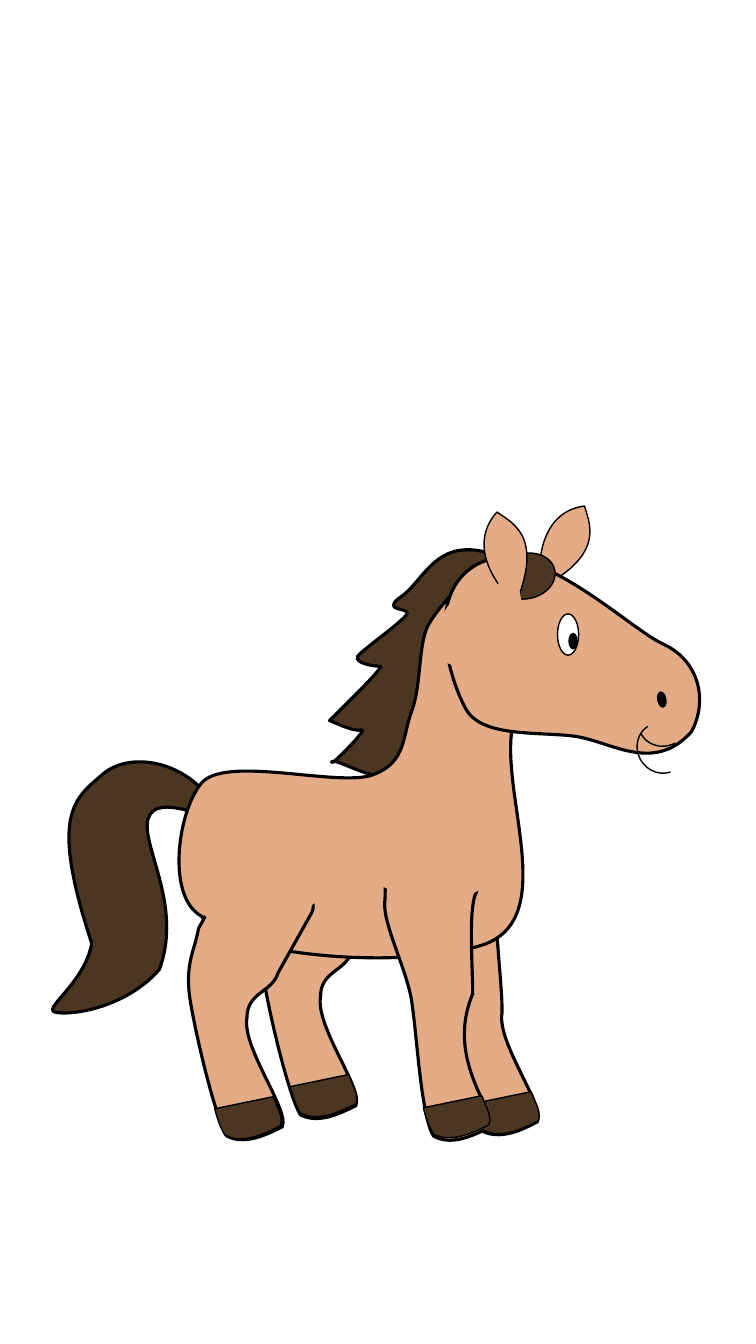
from lxml import etree
from pptx import Presentation
from pptx import util as u
from pptx.dml.color import RGBColor
from pptx.enum import shapes
from pptx.oxml.ns import qn

COLOURS = {"paper": "FFFFFF", "coat": "E3AC87", "mane": "4B3621", "ink": "000000"}
GRID = 0.72  # points per drawing unit
THIN, BOLD = 1, 2.25
KIND = shapes.MSO_SHAPE

# Outlines: a start point, then segments of one point (line) or three (curve)
FAR_EAR = "537,583 | 602,549 584,518 580,502 | 532,508 533,569 537,583"
NEAR_EAR = "512,598 | 540,530 506,518 493,508 | 460,545 500,590 512,598"
TAIL = """54,1004 | 43,1000 84,975 91,936 | 49,808 73,793 102,768
    | 131,743 195,756 219,811 | 209,816 156,785 147,812
    | 139,838 182,898 158,962 | 123,1002 66,1008 54,1004"""
HIND_LEG = """230,862 | 234,855 243,853 251,857 | 303,886 | 310,890 313,899 309,906
    | 276,965 | 270,985 245,984 245,1010 | 240,1040 288,1102 280,1118
    | 262,1127 242,1136 225,1127 | 213,1107 193,1022 188,988
    | 184,954 193,944 197,921"""
FAR_FORELEG = """449,843 | 466,837 489,840 502,847 | 509,865 504,862 494,883
    | 488,903 499,979 498,1005 | 493,1035 541,1097 533,1113
    | 516,1122 496,1131 478,1122 | 466,1102 446,1017 441,983
    | 437,949 434,924 438,901"""
NEAR_FORELEG = """383,846 | 400,840 458,835 471,842 | 478,859 480,869 471,889
    | 465,909 469,960 469,986 | 441,1053 494,1102 485,1119
    | 468,1127 448,1137 430,1127 | 418,1107 414,1032 409,997
    | 405,963 378,915 382,892"""
HOOF = """271,1088 | 275,1098 | 279,1106 280,1113 278,1117
    | 260,1126 240,1135 223,1126 | 220,1121 216,1112 213,1100"""
MANE = """500,554 | 547,589 | 477,695 | 439,768 | 421,767 436,772 394,765
    | 381,783 332,750 329,756 | 327,762 366,722 359,724
    | 351,727 329,715 327,715 | 325,716 384,660 377,661
    | 371,661 351,658 355,651 | 360,644 405,613 404,608
    | 403,603 381,606 395,594 | 423,577 432,525 500,554"""
BODY = """409,704 | 418,679 415,638 425,620 | 435,602 477,552 491,566
    | 506,581 513,647 513,706 | 485,768 563,912 477,938
    | 392,964 219,946 200,909 | 165,890 176,807 199,778
    | 221,748 334,781 369,769 | 404,757 399,729 409,704"""
HEAD = """475,559 | 531,531 623,623 658,639 | 693,655 703,694 686,726
    | 647,769 605,734 567,730 | 530,726 477,731 462,703
    | 446,674 419,588 475,559"""


class Drawing:
    """Holds the style and the current page; all input is in drawing units."""

    def __init__(self, page):
        self.page = page
        self.shapes = page.shapes

    def start_group(self):
        self.shapes = self.page.shapes.add_group_shape().shapes

    def style(self, shape, fill, line, width):
        shape.shadow.inherit = False
        if fill:
            shape.fill.solid()
            shape.fill.fore_color.rgb = RGBColor.from_string(COLOURS[fill])
        else:
            shape.fill.background()
        shape.line.color.rgb = RGBColor.from_string(COLOURS[line])
        shape.line.width = u.Pt(width)
        return shape

    def preset(self, kind, frame, fill, line="ink", turn=0):
        shape = self.shapes.add_shape(kind, *(u.Pt(n * GRID) for n in frame))
        shape.rotation = turn
        return self.style(shape, fill, line, THIN)

    def outline(self, path, fill, width=BOLD, shift=(0, 0)):
        segments = [
            [tuple(int(n) + d for n, d in zip(pair.split(","), shift)) for pair in part.split()]
            for part in path.split("|")
        ]
        anchors = [segment[-1] for segment in segments]
        left, top = (min(axis) for axis in zip(*anchors))
        builder = self.shapes.build_freeform(*anchors[0], scale=u.Pt(GRID))
        builder.add_line_segments(anchors[1:], close=True)
        shape = builder.convert_to_shape()
        # Turn three-point segments into Bézier curves
        steps = list(shape._element.iter(qn("a:lnTo")))
        for step, segment in zip(steps, segments[1:]):
            if len(segment) == 3:
                step.tag = qn("a:cubicBezTo")
                for i, (x, y) in enumerate(segment[:2]):
                    step.insert(i, etree.Element(qn("a:pt"), x=str(x - left), y=str(y - top)))
        return self.style(shape, fill, "ink", width)


def main():
    deck = Presentation()
    deck.slide_width, deck.slide_height = u.Pt(540), u.Pt(960)
    page = deck.slides.add_slide(deck.slide_layouts[6])
    horse = Drawing(page)

    # Ground panel
    horse.preset(KIND.RECTANGLE, (0, 433, 750, 900), "paper", "paper")
    horse.start_group()

    # Far side, mane, body and near legs
    horse.outline(FAR_EAR, "coat", THIN)
    horse.outline(TAIL, "mane")
    horse.outline(HIND_LEG, "coat", shift=(73, -21))
    horse.outline(FAR_FORELEG, "coat")
    horse.outline(MANE, "mane")
    horse.outline(BODY, "coat")
    horse.outline(HIND_LEG, "coat")
    horse.outline(NEAR_FORELEG, "coat")

    # Hooves
    for shift in ((0, 0), (75, -22), (256, -5), (207, -1)):
        horse.outline(HOOF, "mane", THIN, shift)

    # Head and forelock
    horse.outline(HEAD, "coat")
    horse.preset(KIND.OVAL, (493, 549, 58, 45), "mane", turn=347.3)

    # Patches that blend the legs into the body
    horse.preset(KIND.OVAL, (195, 844, 133, 73), "coat", "coat", 345.4)
    horse.preset(KIND.OVAL, (365, 824, 133, 67), "coat", "coat")

    # Near ear and its blending patch
    horse.outline(NEAR_EAR, "coat", THIN)
    horse.preset(KIND.OVAL, (468, 591, 64, 32), "coat", "coat", 98.1)

    # Eye, smile, nostril and pupil
    horse.preset(KIND.OVAL, (543, 619, 41, 21), "paper", turn=90)
    horse.preset(KIND.ARC, (633, 692, 51, 48), None, turn=152.6)
    horse.preset(KIND.OVAL, (649, 690, 15, 8), "ink", turn=79.3)
    horse.preset(KIND.OVAL, (561, 632, 15, 8), "ink", turn=90)

    # Neck patch and corner of the mouth
    horse.preset(KIND.OVAL, (420, 611, 64, 32), "coat", "coat", 98.1)
    dimple = horse.preset(KIND.ARC, (631, 718, 51, 48), None, turn=237)
    dimple.adjustments[0] = 192.94 * 0.6  # degrees to adjustment units

    deck.save("out.pptx")


if __name__ == "__main__":
    main()
